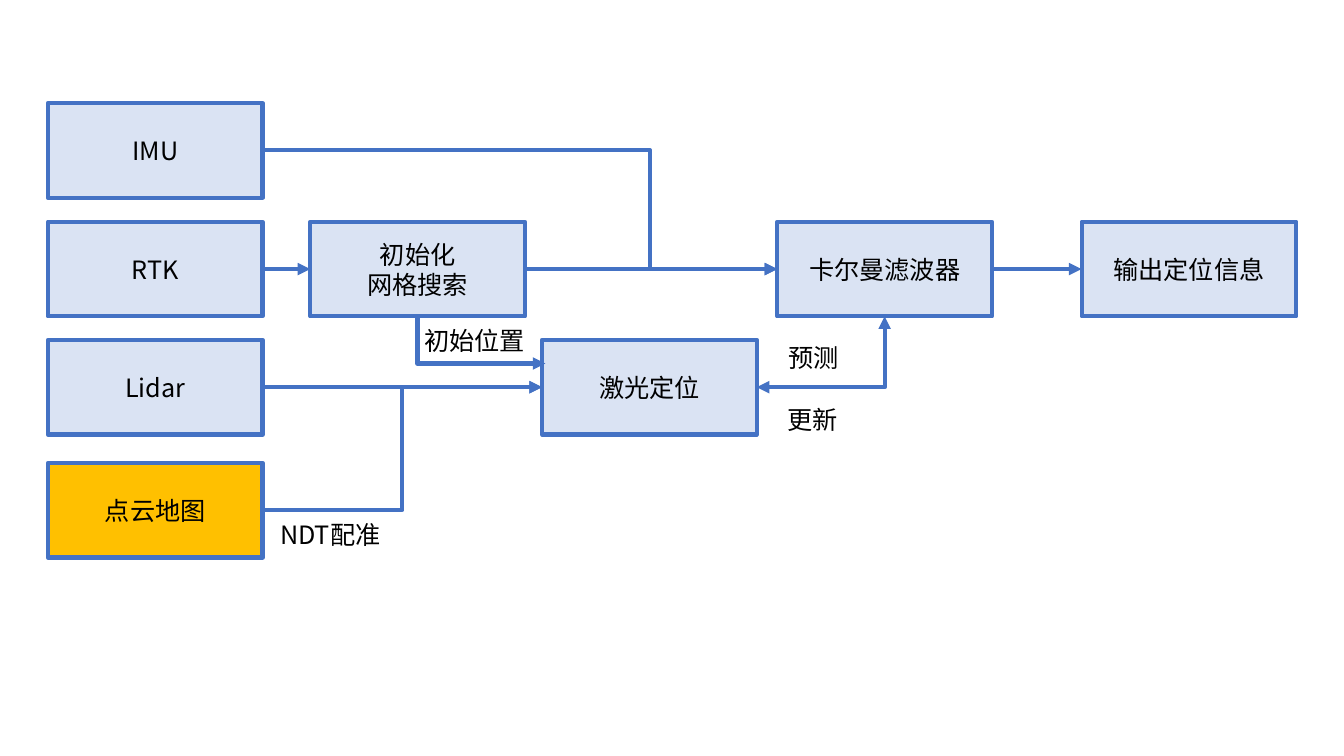
from lxml.etree import SubElement
from pptx import Presentation
from pptx.dml.color import RGBColor
from pptx.enum.shapes import MSO_CONNECTOR, MSO_SHAPE
from pptx.enum.text import MSO_ANCHOR, PP_ALIGN
from pptx.oxml.ns import qn
from pptx.util import Pt

COLORS = {"line": "4472C4", "step": "DAE3F3", "map": "FFC000", "text": "000000"}
FONT = "Noto Sans CJK SC"
BOX_W, BOX_H = 153.4, 67.6
TOP, LEFT, BOTTOM, RIGHT = range(4)

# name: (left, top, text, fill)
BOXES = {
    "imu": (34.2, 73.6, "IMU", "step"),
    "rtk": (34.2, 158.4, "RTK", "step"),
    "lidar": (34.2, 242.8, "Lidar", "step"),
    "map": (34.2, 330.6, "点云地图", "map"),
    "init": (221.6, 158.4, "初始化\n网格搜索", "step"),
    "laser": (387.2, 242.8, "激光定位", "step"),
    "kalman": (555.2, 158.4, "卡尔曼滤波器", "step"),
    "output": (772.6, 158.4, "输出定位信息", "step"),
}
STRAIGHT = [("rtk", "init"), ("init", "kalman"), ("kalman", "output"), ("lidar", "laser")]
# source, target, share of the way at which the line turns
STEPPED = [("imu", "kalman", 0.753), ("map", "laser", 0.5)]
# left, top, width, text
LABELS = [
    (193, 367.2, 86.4, "NDT配准"),
    (555.2, 285.1, 51.5, "更新"),
    (555.8, 241.2, 51.5, "预测"),
    (295.9, 229, 87.2, "初始位置"),
]


def color(name):
    return RGBColor.from_string(COLORS[name])


def write(tf, text, align):
    tf.word_wrap = True
    tf.text = text
    for p in tf.paragraphs:
        p.alignment = align
        p.font.size = Pt(18)
        p.font.name = FONT
        p.font.color.rgb = color("text")
        for r in p.runs:
            SubElement(r._r.get_or_add_rPr(), qn("a:ea")).set("typeface", FONT)


def add_box(slide, left, top, text, fill):
    sp = slide.shapes.add_shape(MSO_SHAPE.RECTANGLE, Pt(left), Pt(top), Pt(BOX_W), Pt(BOX_H))
    sp.shadow.inherit = False
    sp.fill.solid()
    sp.fill.fore_color.rgb = color(fill)
    sp.line.color.rgb = color("line")
    sp.line.width = Pt(3)
    sp.text_frame.vertical_anchor = MSO_ANCHOR.MIDDLE
    write(sp.text_frame, text, PP_ALIGN.CENTER)
    return sp


def add_label(slide, left, top, width, text):
    sp = slide.shapes.add_textbox(Pt(left), Pt(top), Pt(width), Pt(29))
    write(sp.text_frame, text, PP_ALIGN.LEFT)


def add_link(slide, kind, heads=("tailEnd",)):
    """Add a styled connector; its ends are set by the caller."""
    cxn = slide.shapes.add_connector(kind, 0, 0, 0, 0)
    cxn.line.color.rgb = color("line")
    cxn.line.width = Pt(3)
    for head in heads:
        SubElement(cxn.line._get_or_add_ln(), qn(f"a:{head}")).set("type", "triangle")
    SubElement(cxn._element.spPr, qn("a:effectLst"))
    return cxn


def join(cxn, source, target):
    cxn.begin_connect(source, RIGHT)
    cxn.end_connect(target, LEFT)


def set_turn(cxn, share):
    """Place the middle leg of a three-part elbow."""
    gd = SubElement(cxn._element.spPr.prstGeom.get_or_add_avLst(), qn("a:gd"))
    gd.set("name", "adj1")
    gd.set("fmla", f"val {round(share * 100000)}")


def add_corner(slide, heads):
    """Add an elbow with one turn: across first, then up."""
    cxn = add_link(slide, MSO_CONNECTOR.ELBOW, heads)
    cxn._element.spPr.prstGeom.set("prst", "bentConnector2")
    return cxn


def add_flow(slide):
    boxes = {name: add_box(slide, *box) for name, box in BOXES.items()}
    for source, target in STRAIGHT:
        join(add_link(slide, MSO_CONNECTOR.STRAIGHT), boxes[source], boxes[target])
    for source, target, share in STEPPED:
        cxn = add_link(slide, MSO_CONNECTOR.ELBOW)
        join(cxn, boxes[source], boxes[target])
        set_turn(cxn, share)

    feedback = add_corner(slide, ("headEnd", "tailEnd"))
    feedback.begin_connect(boxes["laser"], RIGHT)
    feedback.end_connect(boxes["kalman"], BOTTOM)

    laser = boxes["laser"]
    start = add_corner(slide, ("headEnd",))
    start.begin_x = laser.left + Pt(2.4)
    start.begin_y = laser.top + laser.height // 4
    start.end_connect(boxes["init"], BOTTOM)

    for label in LABELS:
        add_label(slide, *label)


def main():
    prs = Presentation()
    prs.slide_width, prs.slide_height = Pt(960), Pt(540)
    add_flow(prs.slides.add_slide(prs.slide_layouts[6]))
    prs.save("out.pptx")


if __name__ == "__main__":
    main()
